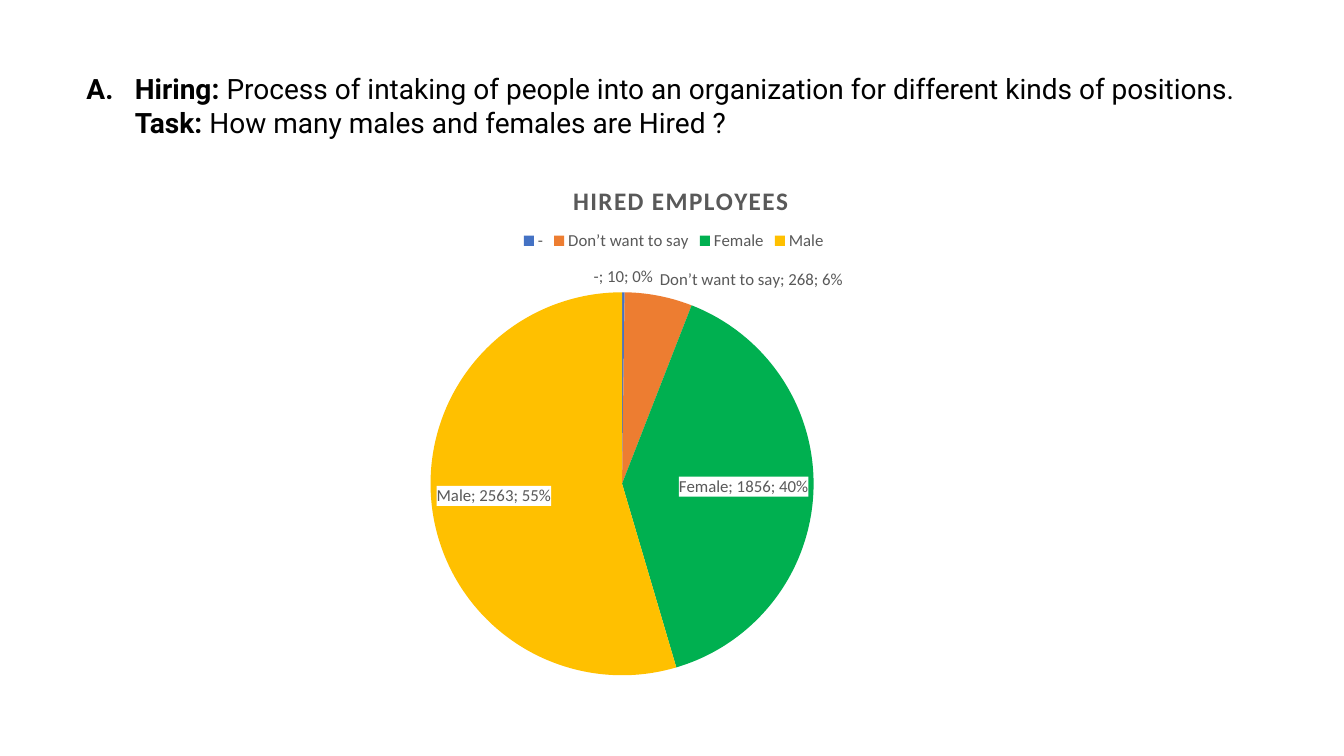
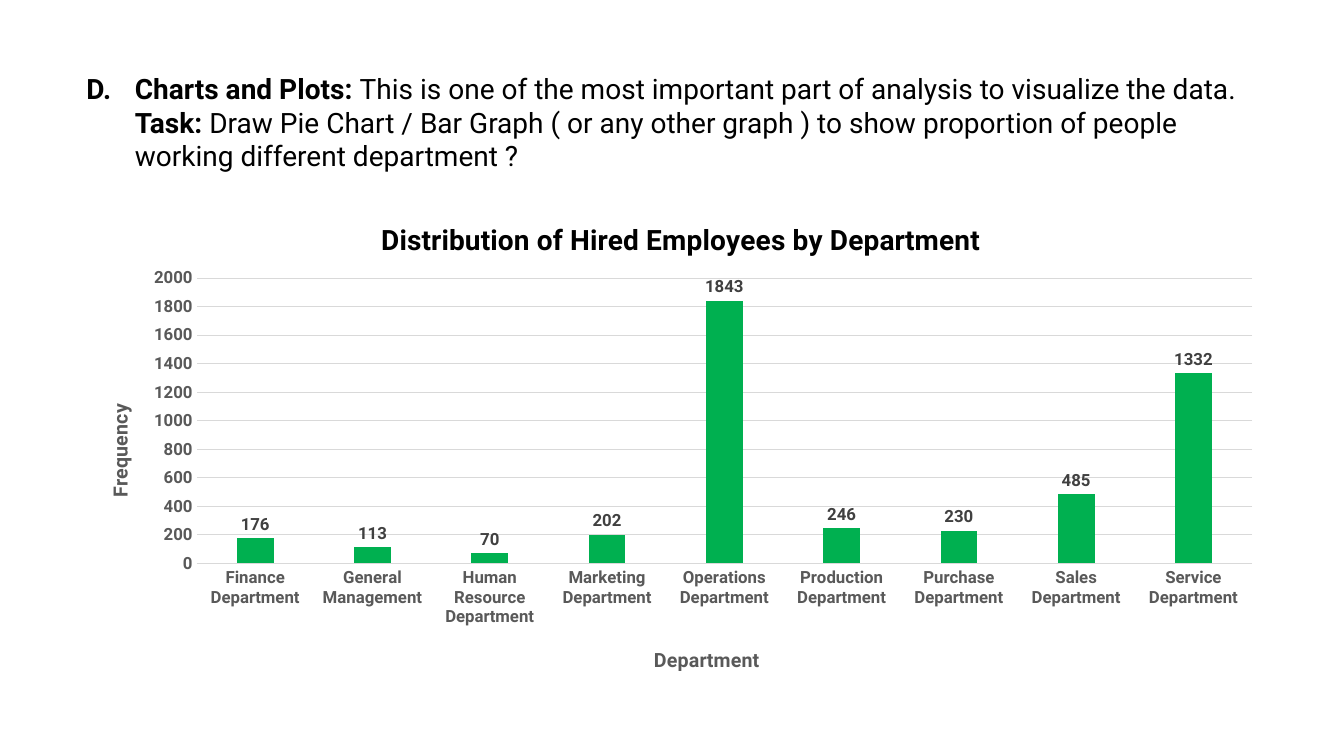
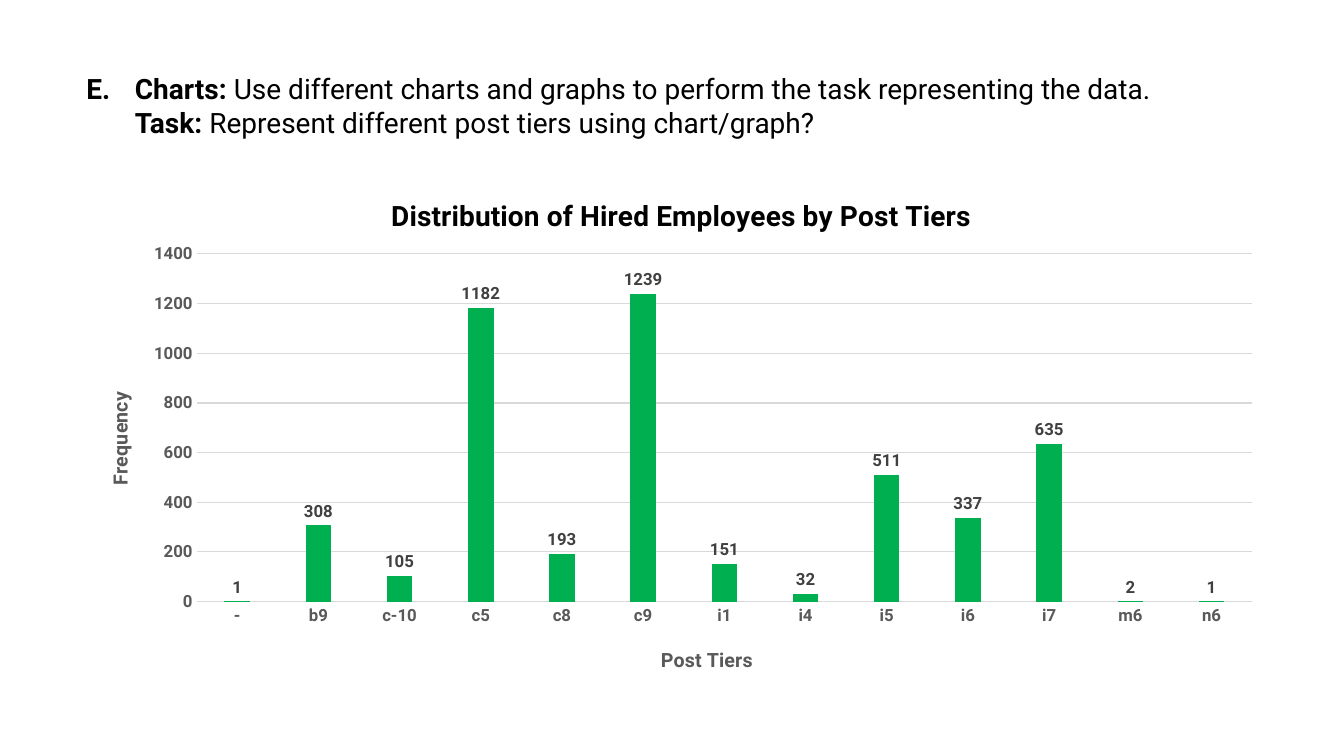
import dataclasses
import pptx
import pptx.chart.data
import pptx.dml.color
import pptx.enum.chart
import pptx.enum.text
import pptx.oxml
import pptx.oxml.ns
import pptx.util

SCALE = 9144
LEFT, WIDTH = 76, 1190
INDENT = 48


@dataclasses.dataclass(frozen=True)
class Theme:
    black: str = "000000"
    dark: str = "404040"
    gray: str = "595959"
    rule: str = "D9D9D9"
    white: str = "FFFFFF"
    green: str = "00B050"
    slices: tuple = ("4472C4", "ED7D31", "00B050", "FFC000")
    head: str = "Roboto"
    body: str = "Calibri"
    big: int = 20
    title: int = 18
    axis: int = 14
    small: int = 12


THEME = Theme()
ENUM = pptx.enum.chart


def px(n):
    return pptx.util.Emu(n * SCALE)


def rgb(code):
    return pptx.dml.color.RGBColor.from_string(code)


def style(font, name, size, color, bold=False):
    font.name = name
    font.size = pptx.util.Pt(size)
    font.color.rgb = rgb(color)
    font.bold = bold


def paint(form, color):
    form.fill.solid()
    form.fill.fore_color.rgb = rgb(color)


def place(node, box, x, y, w=None, h=None):
    qn = pptx.oxml.ns.qn
    old = node.find(qn("c:layout"))
    if old is not None:
        node.remove(old)
    left, top, wide, high = box
    parts = [("xMode", "edge"), ("yMode", "edge"),
             ("x", round((x - left) / wide, 4)), ("y", round((y - top) / high, 4))]
    if w:
        parts.insert(0, ("layoutTarget", "inner"))
        parts += [("w", round(w / wide, 4)), ("h", round(h / high, 4))]
    inner = "".join(f'<c:{tag} val="{val}"/>' for tag, val in parts)
    space = pptx.oxml.ns.nsdecls("c")
    lay = pptx.oxml.parse_xml(
        f"<c:layout {space}><c:manualLayout>{inner}</c:manualLayout></c:layout>")
    node.insert(0 if w else 1, lay)


def add_task(slide, high, head, lead, *lines):
    shape = slide.shapes.add_textbox(px(LEFT), px(66), px(WIDTH), px(high))
    frame = shape.text_frame
    frame.word_wrap = True
    frame.auto_size = pptx.enum.text.MSO_AUTO_SIZE.SHAPE_TO_FIT_TEXT
    rows = [(head, lead), ("Task:", lines[0])] + [("", line) for line in lines[1:]]
    for i, (bold, plain) in enumerate(rows):
        para = frame.paragraphs[0] if i == 0 else frame.add_paragraph()
        props = para._p.get_or_add_pPr()
        props.set("marL", str(px(INDENT)))
        props.set("indent", str(0 if i else px(-INDENT)))
        style(para.font, THEME.head, THEME.big, THEME.black)
        if bold:
            run = para.add_run()
            run.text = bold + " "
            run.font.bold = True
        para.add_run().text = plain


def add_title(owner, text, box, spot, name, size, color):
    title = owner.chart_title if hasattr(owner, "chart_title") else owner.axis_title
    frame = title.text_frame
    frame.text = text
    run = frame.paragraphs[0].runs[0]
    style(run.font, name, size, color, True)
    place(title._element, box, *spot)
    return title


def add_chart(slide, kind, box, cats, vals):
    data = pptx.chart.data.CategoryChartData()
    data.categories = cats
    data.add_series("Series 1", vals)
    chart = slide.shapes.add_chart(kind, *map(px, box), data).chart
    style(chart.font, THEME.body, 10, THEME.black)
    chart.has_title = True
    return chart


def add_pie(slide, box, cats, vals):
    chart = add_chart(slide, ENUM.XL_CHART_TYPE.PIE, box, cats, vals)
    title = add_title(chart, "HIRED EMPLOYEES", box, (564, 177),
                      THEME.body, THEME.title, THEME.gray)
    run = title.text_frame.paragraphs[0].runs[0]
    run._r.get_or_add_rPr().set("spc", "100")
    chart.has_legend = True
    key = chart.legend
    key.position = ENUM.XL_LEGEND_POSITION.TOP
    key.include_in_layout = False
    style(key.font, THEME.body, THEME.small, THEME.gray)
    place(key._element, box, 514, 225)
    plot = chart.plots[0]
    plot.vary_by_categories = True
    series = plot.series[0]
    for i, color in enumerate(THEME.slices):
        paint(series.points[i].format, color)
    tags = series.data_labels
    tags.show_category_name = tags.show_value = tags.show_percentage = True
    tags.position = ENUM.XL_LABEL_POSITION.BEST_FIT
    style(tags.font, THEME.body, THEME.small, THEME.gray)
    space = pptx.oxml.ns.nsdecls("c", "a")
    fill = pptx.oxml.parse_xml(
        f'<c:spPr {space}><a:solidFill><a:srgbClr val="{THEME.white}"/>'
        "</a:solidFill></c:spPr>")
    node = tags._element
    node.find(pptx.oxml.ns.qn("c:txPr")).addprevious(fill)
    sep = pptx.oxml.parse_xml(f"<c:separator {space}>; </c:separator>")
    last = node.find(pptx.oxml.ns.qn("c:showBubbleSize"))
    if last is None:
        last = node.find(pptx.oxml.ns.qn("c:showPercent"))
    last.addnext(sep)
    place(chart._chartSpace.chart.plotArea, box, 427, 290, 380, 380)


def set_axis(axis, text, box, spot):
    axis.has_title = True
    title = add_title(axis, text, box, spot, THEME.head, THEME.axis, THEME.gray)
    axis.major_tick_mark = ENUM.XL_TICK_MARK.NONE
    axis.minor_tick_mark = ENUM.XL_TICK_MARK.NONE
    style(axis.tick_labels.font, THEME.head, THEME.small, THEME.gray, True)
    return title


def set_rule(line):
    line.color.rgb = rgb(THEME.rule)
    line.width = pptx.util.Pt(0.75)


def add_bars(slide, box, title, name, spots, plot_box, top, cats, vals):
    chart = add_chart(slide, ENUM.XL_CHART_TYPE.COLUMN_CLUSTERED, box, cats, vals)
    chart.has_legend = False
    add_title(chart, title, box, spots[0], THEME.head, THEME.big, THEME.black)
    cat, val = chart.category_axis, chart.value_axis
    set_axis(cat, name, box, spots[1])
    set_rule(cat.format.line)
    side = set_axis(val, "Frequency", box, spots[2])
    body = side.text_frame._txBody.bodyPr
    body.set("rot", "-5400000")
    body.set("vert", "horz")
    val.minimum_scale, val.maximum_scale, val.major_unit = 0, top, 200
    val.format.line.fill.background()
    val.has_major_gridlines = True
    set_rule(val.major_gridlines.format.line)
    plot = chart.plots[0]
    plot.vary_by_categories = False
    plot.gap_width, plot.overlap = 219, -27
    series = plot.series[0]
    paint(series.format, THEME.green)
    tags = series.data_labels
    tags.show_value = True
    tags.position = ENUM.XL_LABEL_POSITION.OUTSIDE_END
    style(tags.font, THEME.head, THEME.small, THEME.dark, True)
    place(chart._chartSpace.chart.plotArea, box, *plot_box)


def main():
    deck = pptx.Presentation()
    deck.slide_width, deck.slide_height = px(1333), px(750)
    hiring, depts, tiers = [deck.slides.add_slide(deck.slide_layouts[6])
                            for _ in range(3)]

    add_task(hiring, 77, "A.\tHiring:",
             "Process of intaking of people into an organization for different kinds of positions.",
             "How many males and females are Hired ?")
    add_pie(hiring, (LEFT, 152, WIDTH, 533),
            ["-", "Don’t want to say", "Female", "Male"], [10, 268, 1856, 2563])

    add_task(depts, 111, "D.\tCharts and Plots:",
             "This is one of the most important part of analysis to visualize the data.",
             "Draw Pie Chart / Bar Graph ( or any other graph ) to show proportion of people",
             "working different department ?")
    units = ["Finance", "Human Resource", "Marketing", "Operations",
             "Production", "Purchase", "Sales", "Service"]
    names = [unit + " Department" for unit in units]
    names.insert(1, "General Management")
    add_bars(depts, (LEFT, 191, WIDTH, 493),
             "Distribution of Hired Employees by Department", "Department",
             [(373, 214), (645, 638), (102, 397)], (195, 276, 1047, 283), 2000,
             names, [176, 113, 70, 202, 1843, 246, 230, 485, 1332])

    add_task(tiers, 77, "E.\tCharts:",
             "Use different charts and graphs to perform the task representing the data.",
             "Represent different post tiers using chart/graph?")
    add_bars(tiers, (LEFT, 167, WIDTH, 518),
             "Distribution of Hired Employees by Post Tiers", "Post Tiers",
             [(383, 190), (652, 638), (102, 385)], (195, 252, 1047, 345), 1400,
             ["-", "b9", "c-10", "c5", "c8", "c9", "i1", "i4", "i5", "i6", "i7", "m6", "n6"],
             [1, 308, 105, 1182, 193, 1239, 151, 32, 511, 337, 635, 2, 1])

    deck.save("out.pptx")


if __name__ == "__main__":
    main()
